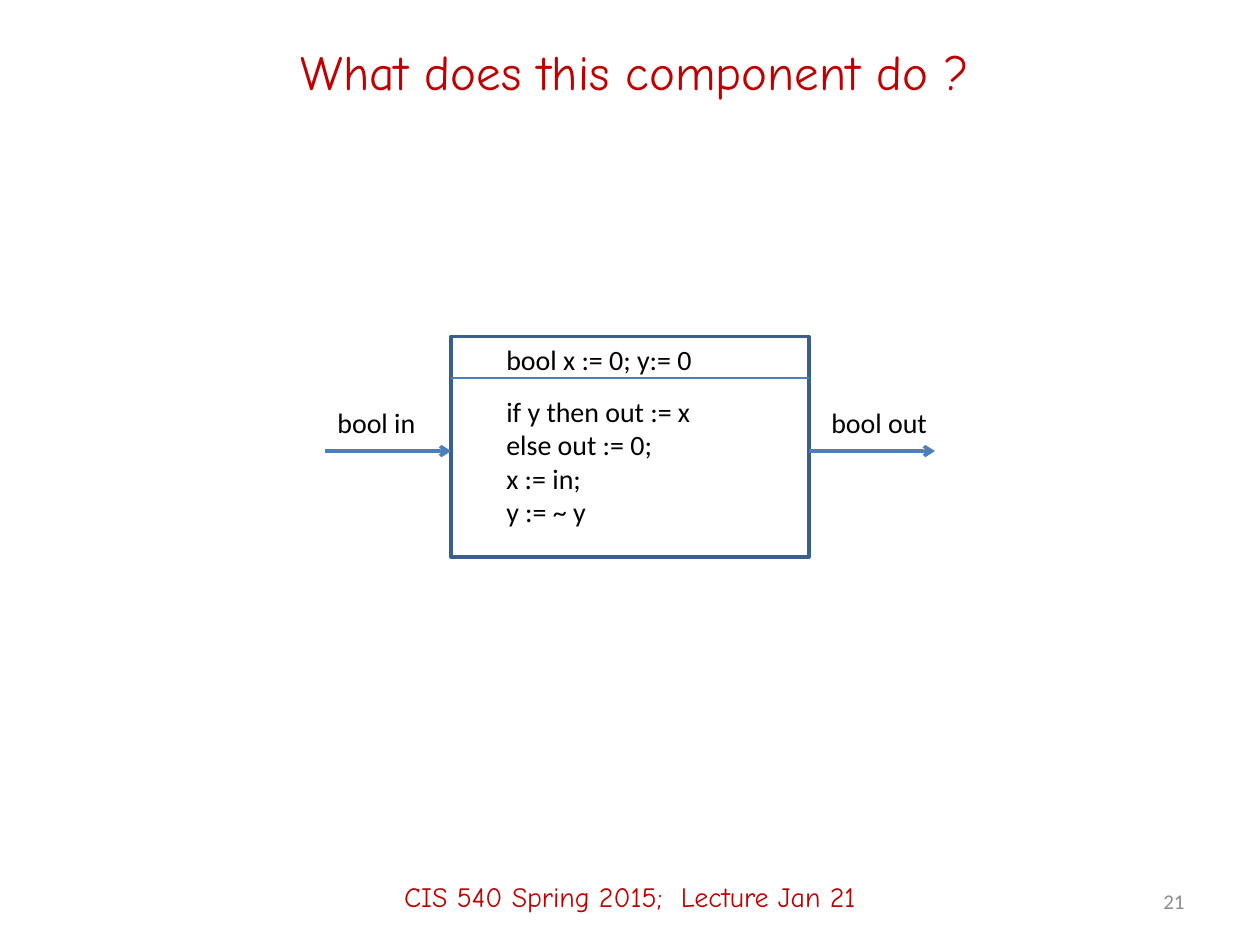
from lxml.etree import SubElement
from pptx import Presentation
from pptx.dml.color import RGBColor
from pptx.enum.shapes import MSO_CONNECTOR, MSO_SHAPE
from pptx.enum.text import MSO_ANCHOR, PP_ALIGN
from pptx.oxml.ns import qn
from pptx.util import Inches, Pt

COLORS = {"red": "C00000", "edge": "3A5F8C", "wire": "4B7EBC",
          "ink": "000000", "gray": "8C8C8C"}


def color(name):
    return RGBColor.from_string(COLORS[name])


def write(frame, text, font="Calibri", size=16, ink="ink",
          align=PP_ALIGN.LEFT, anchor=MSO_ANCHOR.TOP, wrap=True):
    frame.text = text
    frame.word_wrap = wrap
    frame.vertical_anchor = anchor
    for para in frame.paragraphs:
        para.alignment = align
        para.font.name = font
        para.font.size = Pt(size)
        para.font.color.rgb = color(ink)


class Board:
    heading = {"font": "Comic Neue", "ink": "red",
               "align": PP_ALIGN.CENTER, "anchor": MSO_ANCHOR.MIDDLE}

    def __init__(self, slide):
        self.slide = slide
        self.shapes = slide.shapes

    def title(self, text, x, y, w, h):
        shape = self.shapes.title
        shape.left, shape.top = Inches(x), Inches(y)
        shape.width, shape.height = Inches(w), Inches(h)
        write(shape.text_frame, text, size=28, **self.heading)

    def label(self, text, x, y, w, h, **style):
        area = self.shapes.add_textbox(Inches(x), Inches(y), Inches(w), Inches(h))
        write(area.text_frame, text, **style)

    def frame(self, x, y, w, h):
        rect = self.shapes.add_shape(
            MSO_SHAPE.RECTANGLE, Inches(x), Inches(y), Inches(w), Inches(h))
        rect.shadow.inherit = False
        rect.fill.background()
        rect.line.color.rgb = color("edge")
        rect.line.width = Pt(2)

    def wire(self, x, y, length, width=2, arrow=True):
        line = self.shapes.add_connector(
            MSO_CONNECTOR.STRAIGHT, Inches(x), Inches(y),
            Inches(x + length), Inches(y))
        line.line.color.rgb = color("wire")
        line.line.width = Pt(width)
        if arrow:
            SubElement(line.line._get_or_add_ln(), qn("a:tailEnd"), type="arrow")
        SubElement(line._element.spPr, qn("a:effectLst"))


def main():
    deck = Presentation()
    deck.slide_width, deck.slide_height = Inches(10), Inches(7.5)
    board = Board(deck.slides.add_slide(deck.slide_layouts[5]))
    left, top, wide, high = 3.58, 2.67, 2.84, 1.75
    right, port, reach = left + wide, 3.58, 1

    board.title("What does this component do ?", 0.75, 0.17, 8.58, 0.78)
    board.frame(left, top, wide, high)
    board.wire(right, port, reach)
    board.wire(left - reach, port, reach)
    board.wire(left, 3, wide, width=0.75, arrow=False)

    code = "if y then out := x\nelse out := 0;\nx := in;\ny := ~ y"
    for text, x, y, w, h in [
        ("bool in", left - reach, 3.17, 0.83, 0.37),
        ("bool x := 0; y:= 0", 3.92, top, 1.69, 0.37),
        (code, 3.92, 3.08, 1.68, 1.18),
        ("bool out", 6.5, 3.17, 0.97, 0.37),
    ]:
        board.label(text, x, y, w, h, wrap=False)

    board.label("CIS 540 Spring 2015;  Lecture Jan 21", 0, 6.72, 10, 0.78,
                **board.heading)
    board.label("21", 7.17, 6.95, 2.33, 0.4, size=12, ink="gray",
                align=PP_ALIGN.RIGHT, anchor=MSO_ANCHOR.MIDDLE)
    deck.save("out.pptx")


if __name__ == "__main__":
    main()
